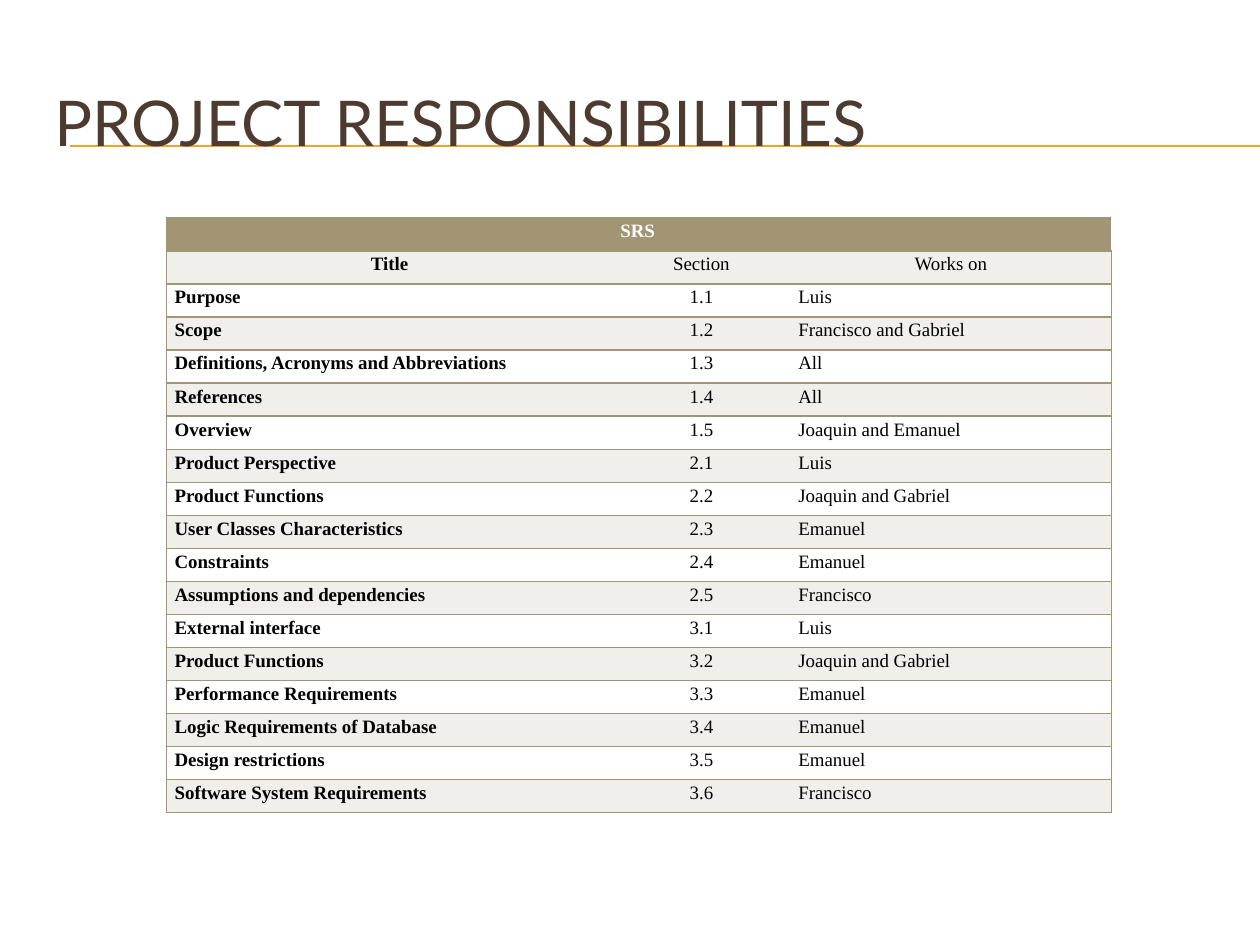
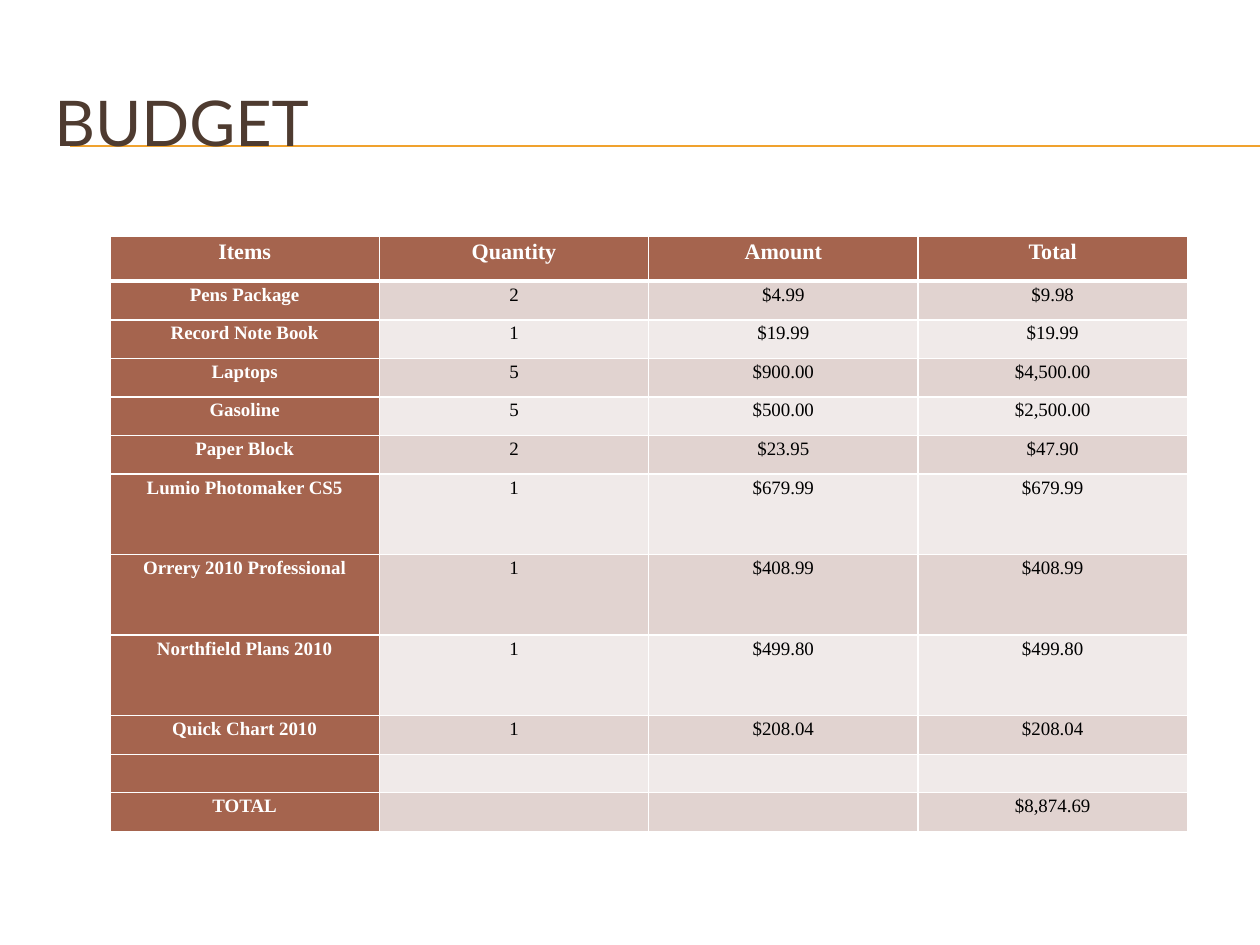
"""Build two slides: project responsibilities and budget, each a titled table."""
from lxml import etree
from pptx import Presentation
from pptx.dml.color import RGBColor
from pptx.enum.shapes import MSO_CONNECTOR
from pptx.enum.text import MSO_ANCHOR, PP_ALIGN
from pptx.oxml.ns import qn
from pptx.util import Inches, Pt

LEFT, CENTER = PP_ALIGN.LEFT, PP_ALIGN.CENTER
MIDDLE = MSO_ANCHOR.MIDDLE
STRAIGHT = MSO_CONNECTOR.STRAIGHT

SLIDE_WIDTH, SLIDE_HEIGHT = 11.11, 8.33
TITLE_FONT, TABLE_FONT = "Lato", "Times New Roman"
BROWN, GOLD, WHITE, BLACK = "4E3B30", "F0A22E", "FFFFFF", "000000"
OLIVE, PALE_OLIVE = "A19574", "F0EFEB"
RUST, ROSE, PALE_ROSE = "A5644E", "E1D3D0", "F0EAE9"
RULE_LEFT, RULE_TOPS = 0.62, (1.28, 1.29)

RESPONSIBILITIES = [
    ("", "SRS", ""),
    ("Title", "Section", "Works on"),
    ("Purpose", "1.1", "Luis"),
    ("Scope", "1.2", "Francisco and Gabriel"),
    ("Definitions, Acronyms and Abbreviations", "1.3", "All"),
    ("References", "1.4", "All"),
    ("Overview", "1.5", "Joaquin and Emanuel"),
    ("Product Perspective", "2.1", "Luis"),
    ("Product Functions", "2.2", "Joaquin and Gabriel"),
    ("User Classes Characteristics", "2.3", "Emanuel"),
    ("Constraints", "2.4", "Emanuel"),
    ("Assumptions and dependencies", "2.5", "Francisco"),
    ("External interface", "3.1", "Luis"),
    ("Product Functions", "3.2", "Joaquin and Gabriel"),
    ("Performance Requirements", "3.3", "Emanuel"),
    ("Logic Requirements of Database", "3.4", "Emanuel"),
    ("Design restrictions", "3.5", "Emanuel"),
    ("Software System Requirements", "3.6", "Francisco"),
]

BUDGET = [
    ("Items", "Quantity", "Amount", "Total"),
    ("Pens Package", "2", "$4.99", "$9.98"),
    ("Record Note Book", "1", "$19.99", "$19.99"),
    ("Laptops", "5", "$900.00", "$4,500.00"),
    ("Gasoline", "5", "$500.00", "$2,500.00"),
    ("Paper Block", "2", "$23.95", "$47.90"),
    ("Lumio Photomaker CS5", "1", "$679.99", "$679.99"),
    ("Orrery 2010 Professional", "1", "$408.99", "$408.99"),
    ("Northfield Plans 2010", "1", "$499.80", "$499.80"),
    ("Quick Chart 2010", "1", "$208.04", "$208.04"),
    ("", "", "", ""),
    ("TOTAL", "", "", "$8,874.69"),
]
BUDGET_HEIGHTS = [0.4] + [0.34] * 5 + [0.71] * 3 + [0.34] * 3


def rgb(color):
    return RGBColor.from_string(color)


def add_run(paragraph, text, font, size, color, bold=False):
    run = paragraph.add_run()
    run.text = text
    run.font.name = font
    run.font.size = Pt(size)
    run.font.bold = bold
    run.font.color.rgb = rgb(color)


def add_titled_slide(presentation, title):
    slide = presentation.slides.add_slide(presentation.slide_layouts[6])
    for top in RULE_TOPS:
        rule = slide.shapes.add_connector(
            STRAIGHT, Inches(RULE_LEFT), Inches(top), Inches(SLIDE_WIDTH), Inches(top))
        rule.line.color.rgb = rgb(GOLD)
        rule.line.width = Pt(0.75)
        etree.SubElement(rule._element.spPr, qn("a:effectLst"))
    box = slide.shapes.add_textbox(Inches(0.37), Inches(0.56), Inches(10.56), Inches(1.02))
    frame = box.text_frame
    frame.word_wrap = True
    frame.vertical_anchor = MIDDLE
    frame.margin_left = frame.margin_right = Inches(0.11)
    frame.margin_top = frame.margin_bottom = Inches(0.06)
    add_run(frame.paragraphs[0], title, TITLE_FONT, 40, BROWN)
    return slide


def set_borders(cell, color, widths):
    properties = cell._tc.get_or_add_tcPr()
    for side, width in zip("LRTB", widths):
        line = etree.SubElement(properties, qn(f"a:ln{side}"), w=str(Pt(width)))
        if width:
            fill = etree.SubElement(line, qn("a:solidFill"))
            etree.SubElement(fill, qn("a:srgbClr"), val=color)
        else:
            etree.SubElement(line, qn("a:noFill"))


def fill_cell(cell, text, fill, color, size, bold, alignment):
    cell.margin_left = cell.margin_right = Inches(0.07)
    cell.margin_top = cell.margin_bottom = 0
    cell.fill.solid()
    cell.fill.fore_color.rgb = rgb(fill)
    paragraph = cell.text_frame.paragraphs[0]
    paragraph.alignment = alignment
    paragraph.line_spacing = 1.15
    if text:
        add_run(paragraph, text, TABLE_FONT, size, color, bold)
    else:
        etree.SubElement(paragraph._p, qn("a:endParaRPr"), sz=str(size * 100))


def add_plain_table(slide, rows, left, top, widths, heights):
    table = slide.shapes.add_table(
        len(rows), len(widths), Inches(left), Inches(top),
        Inches(sum(widths)), Inches(sum(heights))).table
    table.first_row = table.horz_banding = False
    for column, width in zip(table.columns, widths):
        column.width = Inches(width)
    for row, height in zip(table.rows, heights):
        row.height = Inches(height)
    return table


def add_responsibilities(presentation):
    slide = add_titled_slide(presentation, "PROJECT RESPONSIBILITIES")
    count = len(RESPONSIBILITIES)
    table = add_plain_table(slide, RESPONSIBILITIES, 1.47, 1.92,
                            [3.93, 1.57, 2.83], [5.25 / count] * count)
    for i, row in enumerate(RESPONSIBILITIES):
        fill = OLIVE if i == 0 else (WHITE, PALE_OLIVE)[i % 2]
        for j, text in enumerate(row):
            cell = table.cell(i, j)
            set_borders(cell, OLIVE, (int(j == 0), int(j == 2), 1, 1))
            centered = i == 1 or (i > 1 and j == 1)
            fill_cell(cell, text, fill, BLACK if i else WHITE, 12,
                      i == 0 or j == 0, CENTER if centered else LEFT)
    table.cell(0, 1).merge(table.cell(0, 2))


def add_budget(presentation):
    slide = add_titled_slide(presentation, "BUDGET")
    table = add_plain_table(slide, BUDGET, 0.97, 2.08, [9.5 / 4] * 4, BUDGET_HEIGHTS)
    for i, row in enumerate(BUDGET):
        for j, text in enumerate(row):
            heading = i == 0 or j == 0
            cell = table.cell(i, j)
            set_borders(cell, WHITE, (1, 1, 3 if i == 1 else 1, 3 if i == 0 else 1))
            fill_cell(cell, text, RUST if heading else (PALE_ROSE, ROSE)[i % 2],
                      WHITE if heading else BLACK, 12 if i else 14, heading, CENTER)


def main():
    presentation = Presentation()
    presentation.slide_width = Inches(SLIDE_WIDTH)
    presentation.slide_height = Inches(SLIDE_HEIGHT)
    add_responsibilities(presentation)
    add_budget(presentation)
    presentation.save("out.pptx")


if __name__ == "__main__":
    main()
